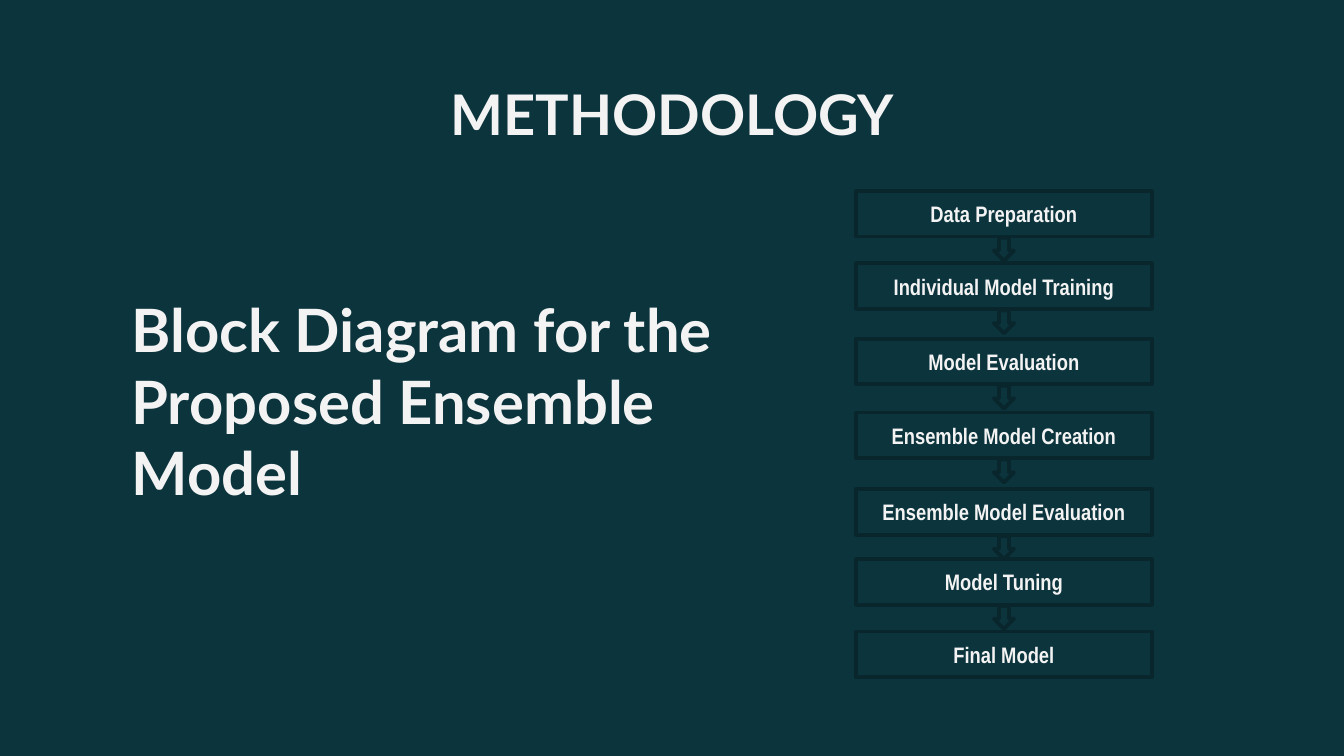
"""Build the methodology slide with the block diagram of the ensemble model."""
from pptx import Presentation
from pptx.dml.color import RGBColor
from pptx.enum.shapes import MSO_SHAPE
from pptx.enum.text import MSO_ANCHOR, PP_ALIGN
from pptx.util import Inches, Pt

STAGE, ARROW = MSO_SHAPE.RECTANGLE, MSO_SHAPE.DOWN_ARROW
TOP, MIDDLE, BOTTOM = MSO_ANCHOR.TOP, MSO_ANCHOR.MIDDLE, MSO_ANCHOR.BOTTOM
LEFT, CENTER = PP_ALIGN.LEFT, PP_ALIGN.CENTER

HEADING = "METHODOLOGY"
CAPTION = "Block Diagram for the Proposed Ensemble Model"
STAGES = [
    ("Data Preparation", 1.42),
    ("Individual Model Training", 1.96),
    ("Model Evaluation", 2.52),
    ("Ensemble Model Creation", 3.07),
    ("Ensemble Model Evaluation", 3.64),
    ("Model Tuning", 4.16),
    ("Final Model", 4.7),
]
COLORS = {"ground": "0C343D", "outline": "09262D", "text": "F3F3F3"}

SLIDE_W = 10
SLIDE_H = SLIDE_W * 9 / 16
HEADING_BOX = (0.79, 0.49, 8.43, 0.63)
CAPTION_BOX = (0.88, 2.48, 5.05, 1.4)
STAGE_LEFT, STAGE_W, STAGE_H = 6.37, 2.2, 0.34
ARROW_W, ARROW_H, ARROW_GAP = 0.15, 0.17, 0.01
ARROW_LEFT = STAGE_LEFT + (STAGE_W - ARROW_W) / 2


def color(name):
    return RGBColor.from_string(COLORS[name])


def write(holder, text, font="Lato", size=12, align=LEFT, anchor=TOP, inset=0.1):
    frame = holder.text_frame
    frame.word_wrap = True
    frame.vertical_anchor = anchor
    frame.margin_left = frame.margin_right = Inches(0.1)
    frame.margin_top = frame.margin_bottom = Inches(inset)
    paragraph = frame.paragraphs[0]
    paragraph.alignment = align
    run = paragraph.add_run()
    run.text = text
    run.font.name = font
    run.font.size = Pt(size)
    run.font.bold = True
    run.font.color.rgb = color("text")


def add_block(parent, kind, left, top, width, height):
    block = parent.shapes.add_shape(kind, *map(Inches, (left, top, width, height)))
    block.shadow.inherit = False
    block.fill.solid()
    block.fill.fore_color.rgb = color("ground")
    block.line.color.rgb = color("outline")
    block.line.width = Pt(2)
    return block


def main():
    deck = Presentation()
    deck.slide_width, deck.slide_height = Inches(SLIDE_W), Inches(SLIDE_H)
    slide = deck.slides.add_slide(deck.slide_layouts[6])
    slide.background.fill.solid()
    slide.background.fill.fore_color.rgb = color("ground")

    heading = slide.shapes.add_textbox(*map(Inches, HEADING_BOX))
    write(heading, HEADING, size=30, align=CENTER)

    diagram = slide.shapes.add_group_shape()
    for label, top in STAGES:
        stage = add_block(diagram, STAGE, STAGE_LEFT, top, STAGE_W, STAGE_H)
        write(stage, label, font="Arial Narrow", align=CENTER, anchor=MIDDLE, inset=0.05)
    for _, top in STAGES[:-1]:
        arrow_top = top + STAGE_H + ARROW_GAP
        add_block(diagram, ARROW, ARROW_LEFT, arrow_top, ARROW_W, ARROW_H)

    caption = slide.shapes.add_textbox(*map(Inches, CAPTION_BOX))
    write(caption, CAPTION, size=32, anchor=BOTTOM)

    deck.save("out.pptx")


if __name__ == "__main__":
    main()
